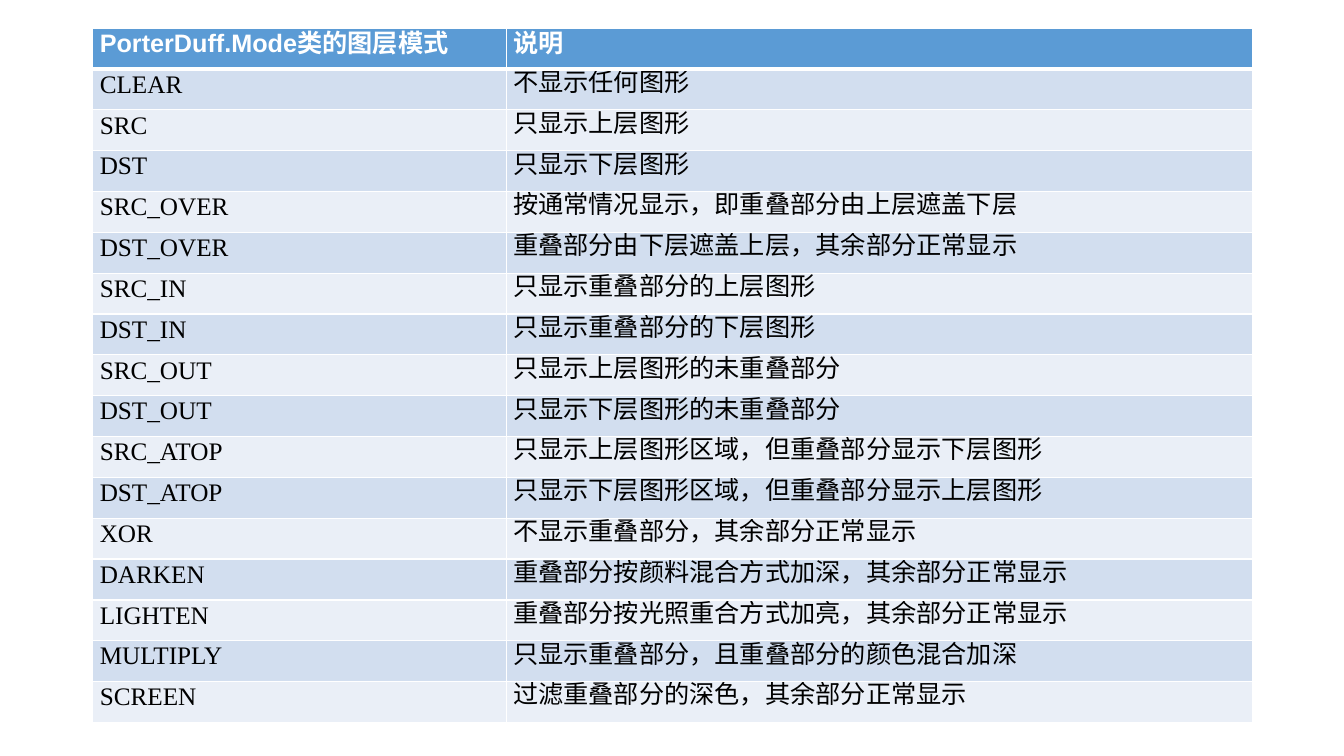
from lxml import etree
from pptx import Presentation
from pptx.dml.color import RGBColor
from pptx.enum.text import MSO_ANCHOR, PP_ALIGN
from pptx.oxml.ns import qn
from pptx.util import Inches, Pt

MIDDLE = MSO_ANCHOR.MIDDLE
LEFT, JUSTIFY = PP_ALIGN.LEFT, PP_ALIGN.JUSTIFY

ROWS = [
    ("PorterDuff.Mode类的图层模式", "说明"),
    ("CLEAR", "不显示任何图形"),
    ("SRC", "只显示上层图形"),
    ("DST", "只显示下层图形"),
    ("SRC_OVER", "按通常情况显示，即重叠部分由上层遮盖下层"),
    ("DST_OVER", "重叠部分由下层遮盖上层，其余部分正常显示"),
    ("SRC_IN", "只显示重叠部分的上层图形"),
    ("DST_IN", "只显示重叠部分的下层图形"),
    ("SRC_OUT", "只显示上层图形的未重叠部分"),
    ("DST_OUT", "只显示下层图形的未重叠部分"),
    ("SRC_ATOP", "只显示上层图形区域，但重叠部分显示下层图形"),
    ("DST_ATOP", "只显示下层图形区域，但重叠部分显示上层图形"),
    ("XOR", "不显示重叠部分，其余部分正常显示"),
    ("DARKEN", "重叠部分按颜料混合方式加深，其余部分正常显示"),
    ("LIGHTEN", "重叠部分按光照重合方式加亮，其余部分正常显示"),
    ("MULTIPLY", "只显示重叠部分，且重叠部分的颜色混合加深"),
    ("SCREEN", "过滤重叠部分的深色，其余部分正常显示"),
]
COLORS = {"head": "5B9BD5", "odd": "D2DEEF", "even": "EAEFF7",
          "white": "FFFFFF", "black": "000000"}
HEAD = {"name": "Arial", "size": Pt(18), "bold": True}
BODY = {"name": "Times New Roman", "size": Pt(18), "bold": False}
CELL = {"margin_left": Inches(0.07), "margin_right": Inches(0.07),
        "margin_top": 0, "margin_bottom": 0, "vertical_anchor": MIDDLE}
HEAD_PARA = {"alignment": JUSTIFY, "line_spacing": Pt(15.6)}
BODY_PARA = {"alignment": LEFT, "line_spacing": Pt(13)}
COLS = (4.1, 7.4)
X, Y, HEIGHT = 0.92, 0.28, 6.89


def apply(obj, values):
    for key, value in values.items():
        setattr(obj, key, value)


def add_border(cell, side, width):
    tcPr = cell._tc.get_or_add_tcPr()
    ln = etree.SubElement(tcPr, qn("a:ln" + side), w=str(Pt(width)))
    fill = etree.SubElement(ln, qn("a:solidFill"))
    etree.SubElement(fill, qn("a:srgbClr"), val=COLORS["white"])


def format_cell(cell, text, row):
    head = row == 0
    apply(cell, CELL)
    widths = {"L": 1, "R": 1, "T": 3 if row == 1 else 1, "B": 3 if head else 1}
    for side, width in widths.items():
        add_border(cell, side, width)
    band = "head" if head else "odd" if row % 2 else "even"
    cell.fill.solid()
    cell.fill.fore_color.rgb = RGBColor.from_string(COLORS[band])
    p = cell.text_frame.paragraphs[0]
    apply(p, HEAD_PARA if head else BODY_PARA)
    r = p.add_run()
    r.text = text
    apply(r.font, HEAD if head else BODY)
    r.font.color.rgb = RGBColor.from_string(COLORS["white" if head else "black"])


def main():
    prs = Presentation()
    prs.slide_width, prs.slide_height = Inches(13.33), Inches(7.5)
    s = prs.slides.add_slide(prs.slide_layouts[6])
    table = s.shapes.add_table(len(ROWS), len(COLS), Inches(X), Inches(Y),
                               Inches(sum(COLS)), Inches(HEIGHT)).table
    for column, width in zip(table.columns, COLS):
        column.width = Inches(width)
    for i, texts in enumerate(ROWS):
        for j, text in enumerate(texts):
            format_cell(table.cell(i, j), text, i)
    prs.save("out.pptx")


if __name__ == "__main__":
    main()
